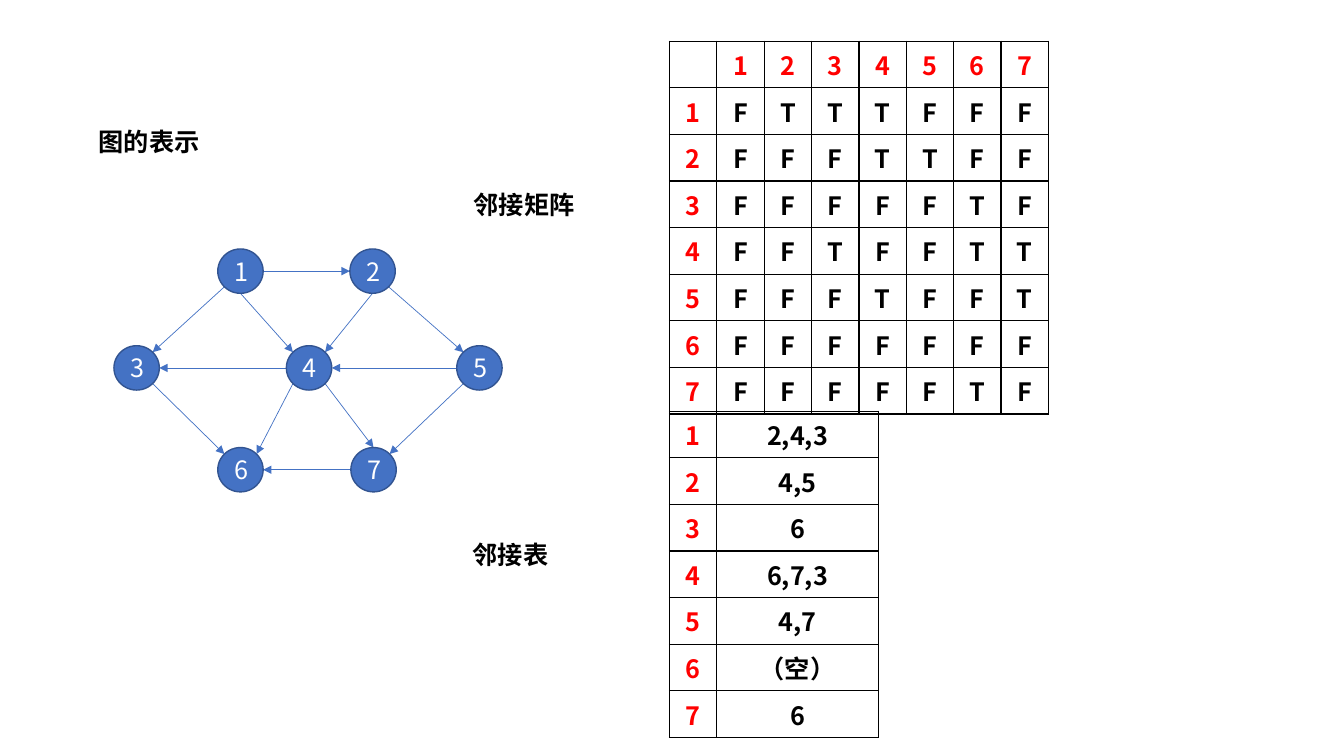
"""Builds a slide that shows a directed graph with its adjacency matrix and list."""
from dataclasses import dataclass

from lxml import etree
from pptx import Presentation
from pptx.dml.color import RGBColor
from pptx.enum.shapes import MSO_CONNECTOR, MSO_SHAPE
from pptx.enum.text import MSO_ANCHOR, MSO_AUTO_SIZE, PP_ALIGN
from pptx.oxml.ns import qn
from pptx.slide import Slide
from pptx.text.text import TextFrame
from pptx.util import Emu, Pt

STRAIGHT = MSO_CONNECTOR.STRAIGHT
ELLIPSE = MSO_SHAPE.OVAL
MIDDLE = MSO_ANCHOR.MIDDLE
GROW = MSO_AUTO_SIZE.SHAPE_TO_FIT_TEXT
LEFT, CENTER = PP_ALIGN.LEFT, PP_ALIGN.CENTER

FONT = "Noto Sans CJK SC"
COLORS = {"node": "4472C4", "outline": "325491", "white": "FFFFFF",
          "black": "000000", "index": "FF0000"}
EMU_PER_PX = 9144
NODE_WIDTH, NODE_HEIGHT = 45, 44
INDEX_WIDTH, LIST_WIDTH, ROW_HEIGHT = 47, 160, 41
LABEL_WIDTH, LABEL_HEIGHT = 166, 40
DIAGONAL = 0.5 ** 0.5
SITES = {"top": (0, -1), "bottom": (0, 1), "left": (-1, 0), "right": (1, 0),
         "top left": (-DIAGONAL, -DIAGONAL), "top right": (DIAGONAL, -DIAGONAL),
         "bottom left": (-DIAGONAL, DIAGONAL), "bottom right": (DIAGONAL, DIAGONAL)}


@dataclass(frozen=True)
class Node:
    left: int
    top: int

    def point(self, site: str) -> tuple[Emu, Emu]:
        across, down = SITES[site]
        return (px(self.left + NODE_WIDTH / 2 * (1 + across)),
                px(self.top + NODE_HEIGHT / 2 * (1 + down)))


@dataclass(frozen=True)
class Edge:
    start: int
    end: int
    start_site: str
    end_site: str


@dataclass(frozen=True)
class Label:
    text: str
    left: int
    top: int


@dataclass(frozen=True)
class Grid:
    left: int
    top: int
    widths: list[int]
    rows: list[list[str]]
    header_rows: int


NODES = {1: Node(216, 247), 2: Node(347, 247), 3: Node(113, 343), 4: Node(284, 343),
         5: Node(453, 343), 6: Node(216, 444), 7: Node(348, 444)}
EDGES = [
    Edge(1, 2, "right", "left"),
    Edge(1, 4, "bottom", "top left"),
    Edge(1, 3, "bottom left", "top right"),
    Edge(2, 4, "bottom", "top right"),
    Edge(2, 5, "bottom right", "top left"),
    Edge(3, 6, "bottom right", "top left"),
    Edge(4, 6, "bottom left", "top right"),
    Edge(4, 7, "bottom right", "top"),
    Edge(4, 3, "left", "right"),
    Edge(5, 4, "left", "right"),
    Edge(5, 7, "bottom left", "top right"),
    Edge(7, 6, "left", "right"),
]
LABELS = [Label("图的表示", 88, 120), Label("邻接矩阵", 460, 183), Label("邻接表", 459, 530)]
NEIGHBOURS = {number: [edge.end for edge in EDGES if edge.start == number]
              for number in NODES}
MATRIX = Grid(664, 41, [INDEX_WIDTH] * (len(NODES) + 1), [
    ["", *map(str, NODES)],
    *([str(start), *("T" if end in ends else "F" for end in NODES)]
      for start, ends in NEIGHBOURS.items()),
], header_rows=1)
ADJACENCY = Grid(664, 408, [INDEX_WIDTH, LIST_WIDTH], [
    [str(start), ",".join(map(str, ends)) or "（空）"] for start, ends in NEIGHBOURS.items()
], header_rows=0)


def px(length: float) -> Emu:
    return Emu(round(length * EMU_PER_PX))


def color(name: str) -> RGBColor:
    return RGBColor.from_string(COLORS[name])


def write(frame: TextFrame, text: str, *, ink: str = "black", bold: bool = False,
          align: PP_ALIGN = LEFT) -> None:
    para = frame.paragraphs[0]
    para.alignment = align
    span = para.add_run()
    span.text = text
    span.font.name = FONT
    span.font.size = Pt(18)
    span.font.bold = bold
    span.font.color.rgb = color(ink)
    east_asian = etree.SubElement(span.font._element, qn("a:ea"))
    east_asian.set("typeface", FONT)


def draw_edge(page: Slide, edge: Edge) -> None:
    line = page.shapes.add_connector(STRAIGHT, *NODES[edge.start].point(edge.start_site),
                                     *NODES[edge.end].point(edge.end_site))
    line.line.color.rgb = color("node")
    line.line.width = Pt(0.5)
    etree.SubElement(line.line._get_or_add_ln(), qn("a:tailEnd"), type="triangle")
    etree.SubElement(line._element.spPr, qn("a:effectLst"))


def draw_node(page: Slide, number: int, node: Node) -> None:
    circle = page.shapes.add_shape(ELLIPSE, px(node.left), px(node.top),
                                   px(NODE_WIDTH), px(NODE_HEIGHT))
    circle.shadow.inherit = False
    circle.fill.solid()
    circle.fill.fore_color.rgb = color("node")
    circle.line.color.rgb = color("outline")
    circle.line.width = Pt(1)
    circle.text_frame.vertical_anchor = MIDDLE
    write(circle.text_frame, str(number), ink="white", align=CENTER)


def draw_label(page: Slide, label: Label) -> None:
    box = page.shapes.add_textbox(px(label.left), px(label.top),
                                  px(LABEL_WIDTH), px(LABEL_HEIGHT))
    box.text_frame.word_wrap = True
    box.text_frame.auto_size = GROW
    write(box.text_frame, label.text, bold=True)


def draw_grid(page: Slide, grid: Grid) -> None:
    frame = page.shapes.add_table(len(grid.rows), len(grid.widths), px(grid.left), px(grid.top),
                                  px(sum(grid.widths)), px(ROW_HEIGHT * len(grid.rows)))
    table = frame.table
    table.first_row = table.horz_banding = False
    for column, width in zip(table.columns, grid.widths):
        column.width = px(width)
    for row_number, texts in enumerate(grid.rows):
        table.rows[row_number].height = px(ROW_HEIGHT)
        for column_number, text in enumerate(texts):
            cell = table.cell(row_number, column_number)
            properties = cell._tc.get_or_add_tcPr()
            for side in ("a:lnL", "a:lnR", "a:lnT", "a:lnB"):
                border = etree.SubElement(properties, qn(side), w=str(Pt(1)))
                fill = etree.SubElement(border, qn("a:solidFill"))
                etree.SubElement(fill, qn("a:srgbClr"), val=COLORS["black"])
            cell.fill.background()
            is_index = column_number == 0 or row_number < grid.header_rows
            if text:
                write(cell.text_frame, text, ink="index" if is_index else "black",
                      bold=True, align=CENTER)


def main() -> None:
    deck = Presentation()
    deck.slide_width, deck.slide_height = px(1333), px(750)
    page = deck.slides.add_slide(deck.slide_layouts[6])
    for edge in EDGES:
        draw_edge(page, edge)
    for number, node in NODES.items():
        draw_node(page, number, node)
    for grid in (MATRIX, ADJACENCY):
        draw_grid(page, grid)
    for label in LABELS:
        draw_label(page, label)
    deck.save("out.pptx")


if __name__ == "__main__":
    main()
